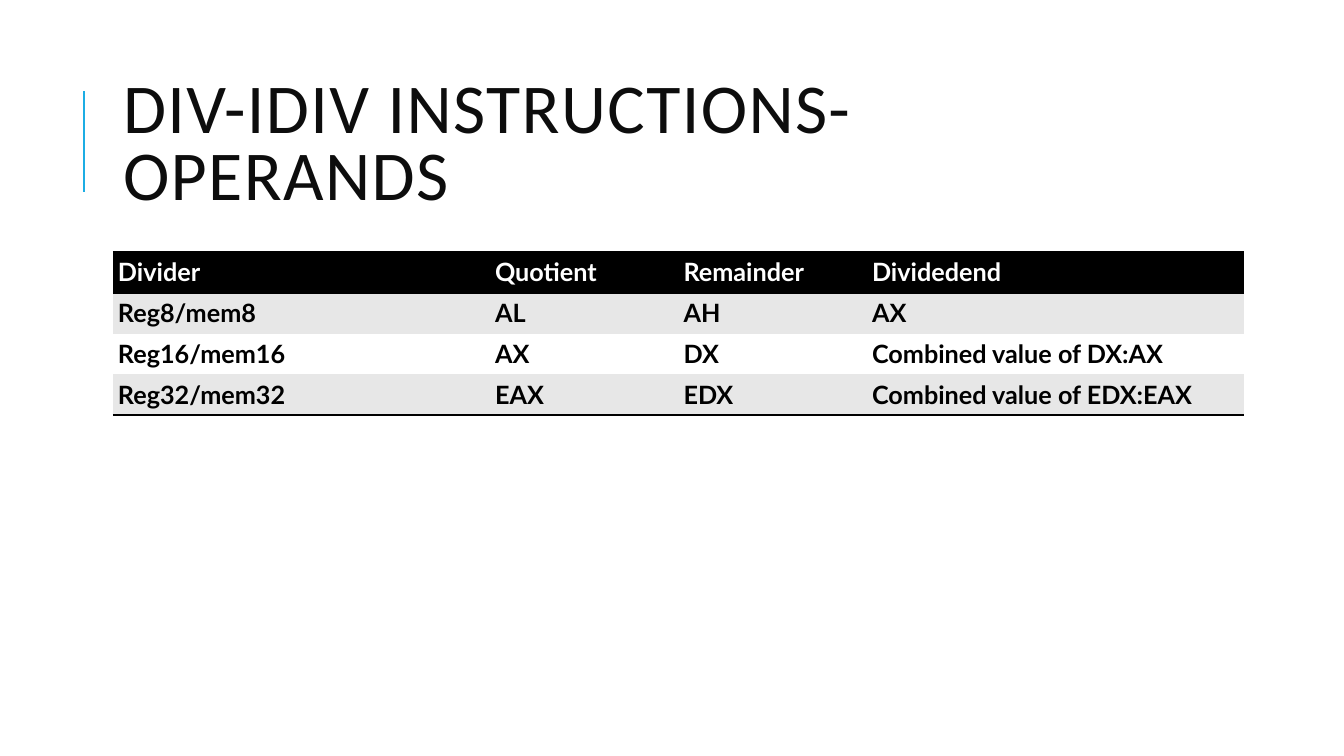
from lxml import etree
from pptx import Presentation
from pptx.dml.color import RGBColor
from pptx.enum.shapes import MSO_CONNECTOR
from pptx.enum.text import MSO_ANCHOR, MSO_AUTO_SIZE, PP_ALIGN
from pptx.oxml import parse_xml
from pptx.oxml.ns import nsdecls, qn
from pptx.util import Inches, Pt

TITLE = "DIV-IDIV INSTRUCTIONS- OPERANDS"
ROWS = [
    ("Divider", "Quotient", "Remainder", "Dividedend"),
    ("Reg8/mem8", "AL", "AH", "AX"),
    ("Reg16/mem16", "AX", "DX", "Combined value of DX:AX"),
    ("Reg32/mem32", "EAX", "EDX", "Combined value of EDX:EAX"),
]
COLUMN_WIDTHS = (3.74, 1.87, 1.87, 3.74)
ROW_HEIGHT = 0.405
LEFT = 1.12
CELL_MARGIN = Inches(0.05)
NO_GRID_STYLE = "{2D5ABB26-0587-4C30-8999-92F81FD0307C}"

BLACK = RGBColor(0x00, 0x00, 0x00)
WHITE = RGBColor(0xFF, 0xFF, 0xFF)
BAND = RGBColor(0xE7, 0xE7, 0xE7)
TITLE_COLOR = RGBColor(0x0D, 0x0D, 0x0D)
ACCENT = RGBColor(0x1C, 0xAD, 0xE4)

LEFT_ALIGN = PP_ALIGN.LEFT
MIDDLE = MSO_ANCHOR.MIDDLE
NO_AUTOFIT = MSO_AUTO_SIZE.NONE
STRAIGHT = MSO_CONNECTOR.STRAIGHT


def add_accent_line(slide):
    line = slide.shapes.add_connector(
        STRAIGHT, Inches(0.83), Inches(1.9), Inches(0.83), Inches(0.9))
    line.line.color.rgb = ACCENT
    line.line.width = Pt(1.5)
    etree.SubElement(line._element.spPr, qn("a:effectLst"))


def format_title(title):
    title.left, title.top = Inches(LEFT), Inches(0.64)
    title.width, title.height = Inches(10.63), Inches(1.64)
    frame = title.text_frame
    frame.text = TITLE
    frame.word_wrap = True
    frame.auto_size = NO_AUTOFIT
    frame.vertical_anchor = MIDDLE
    paragraph = frame.paragraphs[0]
    paragraph.alignment = LEFT_ALIGN
    paragraph.line_spacing = 0.8
    font = paragraph.font
    font.name, font.size = "Calibri", Pt(50)
    font.color.rgb = TITLE_COLOR
    paragraph.runs[0].font._element.set("spc", "100")


def add_borders(cell, sides):
    properties = cell._tc.get_or_add_tcPr()
    for position, side in enumerate(sides):
        properties.insert(position, parse_xml(
            f'<a:ln{side} {nsdecls("a")} w="{Pt(2)}"><a:solidFill>'
            f'<a:srgbClr val="{BLACK}"/></a:solidFill></a:ln{side}>'))


def format_cell(cell, text, row_index):
    header = row_index == 0
    cell.text = text
    cell.margin_left = cell.margin_right = CELL_MARGIN
    cell.margin_top = cell.margin_bottom = CELL_MARGIN
    cell.fill.solid()
    cell.fill.fore_color.rgb = BLACK if header else BAND if row_index % 2 else WHITE
    font = cell.text_frame.paragraphs[0].font
    font.name, font.size, font.bold = "Lato", Pt(18), True
    font.color.rgb = WHITE if header else BLACK
    if header:
        add_borders(cell, "TB")
    elif row_index == len(ROWS) - 1:
        add_borders(cell, "B")


def add_operand_table(slide):
    table = slide.shapes.add_table(
        len(ROWS), len(COLUMN_WIDTHS), Inches(LEFT), Inches(2.5),
        Inches(sum(COLUMN_WIDTHS)), Inches(ROW_HEIGHT * len(ROWS))).table
    table._tbl.tblPr.find(qn("a:tableStyleId")).text = NO_GRID_STYLE
    for column, width in zip(table.columns, COLUMN_WIDTHS):
        column.width = Inches(width)
    for row_index, texts in enumerate(ROWS):
        for column_index, text in enumerate(texts):
            format_cell(table.cell(row_index, column_index), text, row_index)


def main():
    presentation = Presentation()
    presentation.slide_width = Inches(13.33)
    presentation.slide_height = Inches(7.5)
    slide = presentation.slides.add_slide(presentation.slide_layouts[5])
    add_accent_line(slide)
    format_title(slide.shapes.title)
    add_operand_table(slide)
    presentation.save("out.pptx")


if __name__ == "__main__":
    main()
